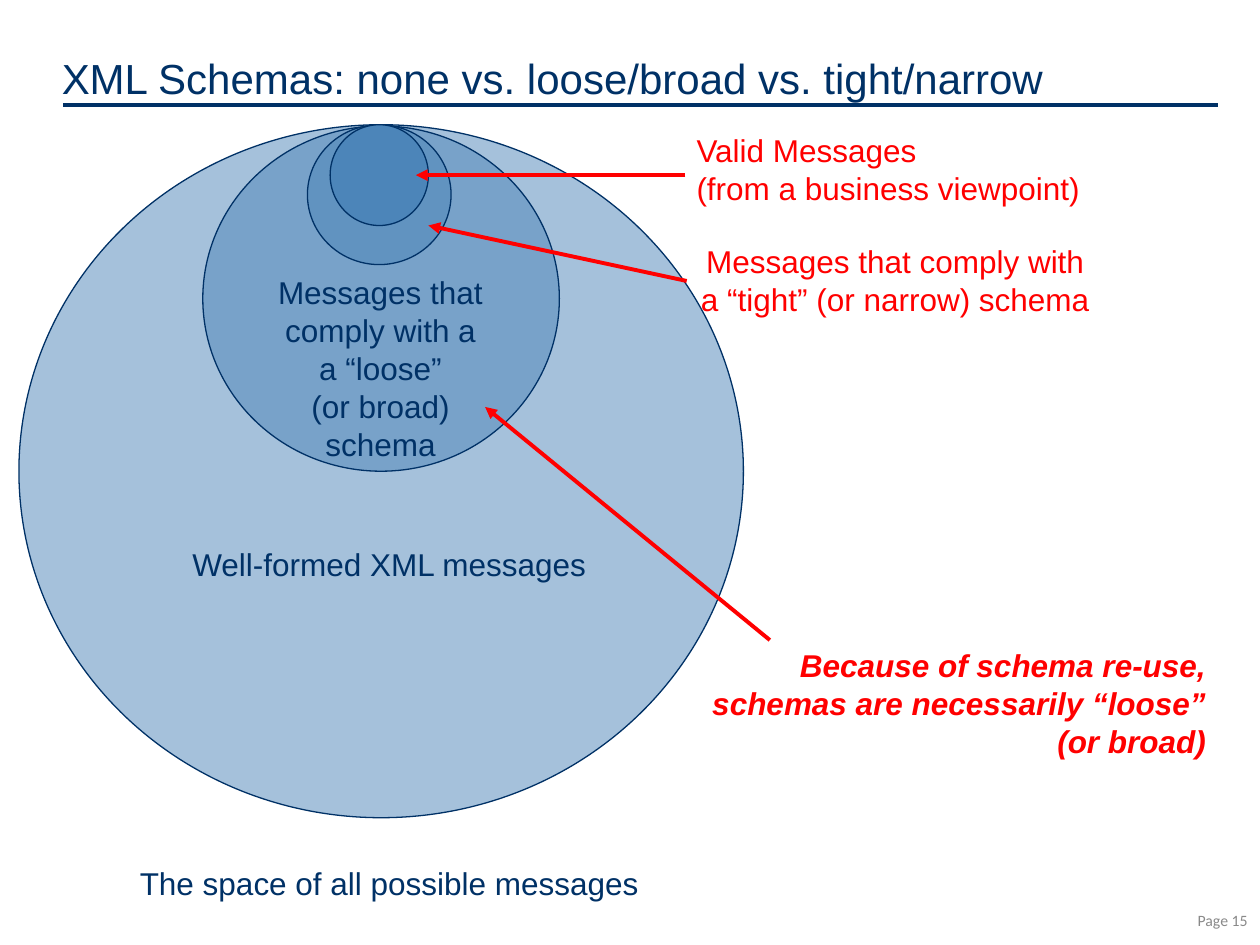
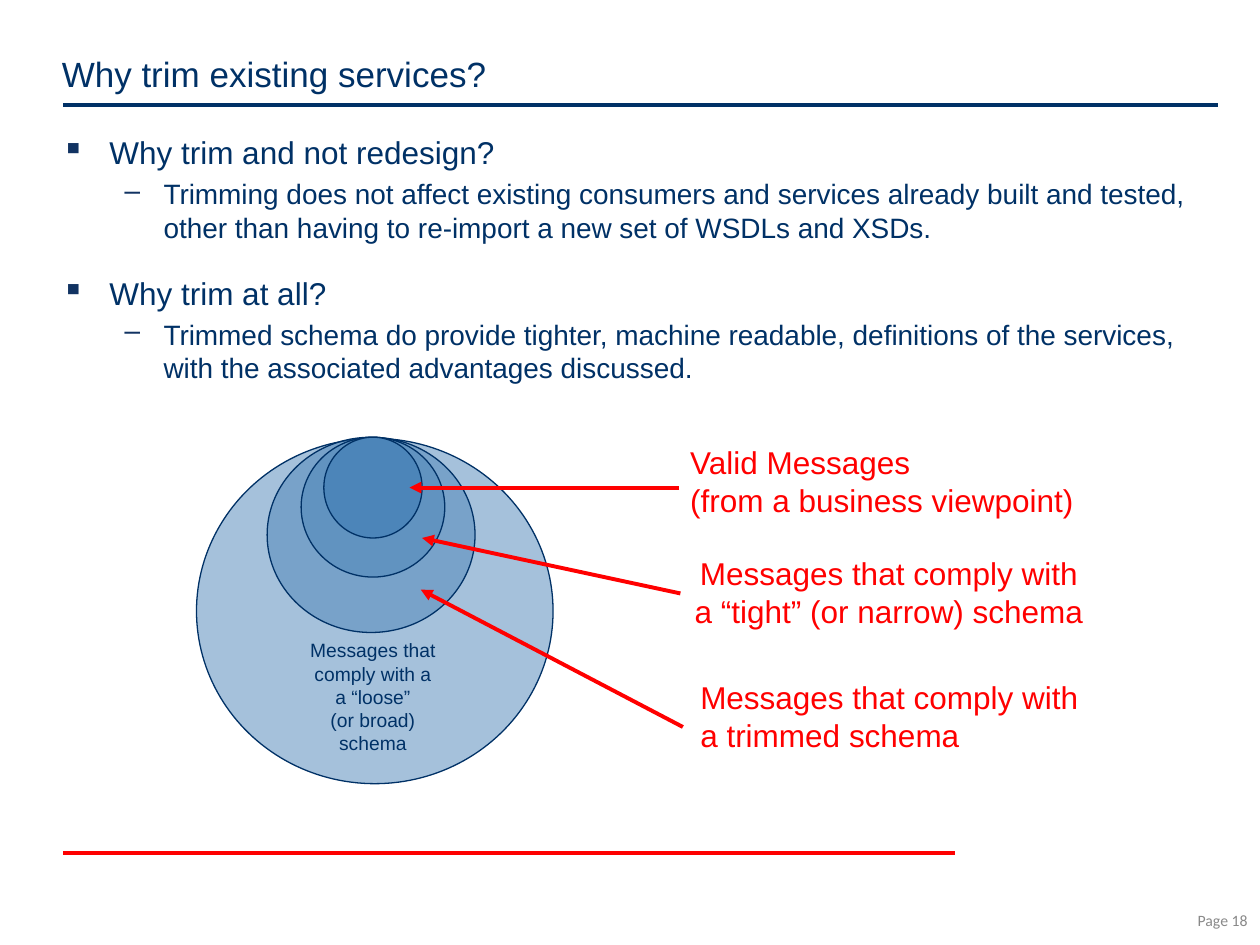
"""Builds two slides on loose, tight and trimmed XML schemas."""
from dataclasses import dataclass, replace

import lxml.etree
import pptx
import pptx.dml.color
import pptx.enum.shapes
import pptx.enum.text
import pptx.oxml.ns
import pptx.util

Inches = pptx.util.Inches
Pt = pptx.util.Pt
Align = pptx.enum.text.PP_ALIGN
Anchor = pptx.enum.text.MSO_ANCHOR
qn = pptx.oxml.ns.qn

NAVY, BLUE, RED, RULE_RED = "003166", "4C85B9", "FF0000", "FE0000"
GREY, BULLET, WHITE = "898989", "113362", "FFFFFF"
LOOSE_LINES = ("Messages that", "comply with a", "a “loose”", "(or broad)", "schema")


@dataclass(frozen=True)
class Circle:
    left: float
    top: float
    width: float
    height: float
    alpha: int = 50


@dataclass(frozen=True)
class Label:
    left: float
    top: float
    width: float
    height: float
    lines: tuple[str, ...]
    color: str = RED
    size: int = 18
    align: Align = Align.CENTER
    strong: bool = False
    wrap: bool = False
    font: str = "Arial"
    anchor: Anchor = Anchor.TOP


@dataclass(frozen=True)
class Line:
    x1: float
    y1: float
    x2: float
    y2: float
    color: str = RED
    arrow: bool = True


@dataclass(frozen=True)
class Bullet:
    text: str
    size: int
    mark: str
    margin: float
    indent: float
    before: float


CORE_CIRCLES = (Circle(2.44, 0.99, 1.14, 1.11), Circle(2.62, 0.99, 0.78, 0.8, 100))
CORE_LABELS = (
    Label(5.45, 1.87, 3.31, 0.71,
          ("Messages that comply with", "a “tight” (or narrow) schema")),
    Label(5.43, 0.99, 3.27, 0.71,
          ("Valid Messages", "(from a business viewpoint)"), align=Align.LEFT),
)
CORE_ARROWS = (Line(5.44, 1.39, 3.3, 1.39), Line(5.45, 2.23, 3.4, 1.79))


def rgb(value: str) -> pptx.dml.color.RGBColor:
    return pptx.dml.color.RGBColor.from_string(value)


def style_font(font, size: int, color: str, name: str = "Arial") -> None:
    font.size, font.name = Pt(size), name
    font.color.rgb = rgb(color)


def add_circle(slide, circle: Circle) -> None:
    box = (circle.left, circle.top, circle.width, circle.height)
    sp = slide.shapes.add_shape(pptx.enum.shapes.MSO_SHAPE.OVAL, *map(Inches, box))
    sp.shadow.inherit = False
    sp.fill.solid()
    sp.fill.fore_color.rgb = rgb(BLUE)
    sp.line.color.rgb = rgb(NAVY)
    sp.line.width = Pt(0.75)
    if circle.alpha < 100:
        color = sp.fill._xPr.find(f"{qn('a:solidFill')}/{qn('a:srgbClr')}")
        lxml.etree.SubElement(color, qn("a:alpha"), val=str(circle.alpha * 1000))


def add_label(slide, label: Label) -> None:
    box = (label.left, label.top, label.width, label.height)
    tf = slide.shapes.add_textbox(*map(Inches, box)).text_frame
    tf.word_wrap = label.wrap
    tf.vertical_anchor = label.anchor
    tf.text = "\n".join(label.lines)
    for p in tf.paragraphs:
        p.alignment = label.align
        style_font(p.font, label.size, label.color, label.font)
        if label.strong:
            p.font.bold = p.font.italic = True


def add_line(slide, line: Line) -> None:
    ends = map(Inches, (line.x1, line.y1, line.x2, line.y2))
    c = slide.shapes.add_connector(pptx.enum.shapes.MSO_CONNECTOR.STRAIGHT, *ends)
    c.line.color.rgb = rgb(line.color)
    c.line.width = Pt(2.25)
    if line.arrow:
        lxml.etree.SubElement(c.line._get_or_add_ln(), qn("a:tailEnd"), type="triangle")
    lxml.etree.SubElement(c._element.spPr, qn("a:effectLst"))


def add_bullets(slide, bullets: tuple[Bullet, ...]) -> None:
    tf = slide.shapes.add_textbox(*map(Inches, (0.39, 1.01, 9.2, 2.09))).text_frame
    tf.word_wrap = True
    tf.text = "\n".join(b.text for b in bullets)
    for p, b in zip(tf.paragraphs, bullets):
        p.space_before = Pt(b.before)
        style_font(p.font, b.size, NAVY)
        pPr = p._p.get_or_add_pPr()
        pPr.set("marL", str(Inches(b.margin)))
        pPr.set("indent", str(Inches(b.indent)))
        color = lxml.etree.Element(qn("a:buClr"))
        lxml.etree.SubElement(color, qn("a:srgbClr"), val=BULLET)
        mark = lxml.etree.Element(qn("a:buChar"), char=b.mark)
        at = pPr.index(pPr.find(qn("a:spcBef"))) + 1
        pPr[at:at] = [color, mark]


def add_titled_slide(prs, title: str, size: int, page: int):
    slide = prs.slides.add_slide(prs.slide_layouts[5])
    slide.background.fill.solid()
    slide.background.fill.fore_color.rgb = rgb(WHITE)
    sp = slide.shapes.title
    sp.left, sp.top, sp.width, sp.height = map(Inches, (0.39, 0.37, 9.2, 0.91))
    tf = sp.text_frame
    tf.text = title
    tf.auto_size = pptx.enum.text.MSO_AUTO_SIZE.NONE
    tf.vertical_anchor = Anchor.TOP
    p = tf.paragraphs[0]
    p.alignment = Align.LEFT
    style_font(p.font, size, NAVY)
    add_line(slide, Line(0.5, 0.83, 9.67, 0.83, NAVY, False))
    add_label(slide, Label(7.75, 7.1, 2.25, 0.4, (f"Page {page}",), GREY, 9, Align.RIGHT,
                           font="Calibri", anchor=Anchor.MIDDLE, wrap=True))
    return slide


def add_core(slide, dx: float = 0, dy: float = 0) -> None:
    for circle in CORE_CIRCLES:
        add_circle(slide, replace(circle, left=circle.left + dx, top=circle.top + dy))
    for label in CORE_LABELS:
        add_label(slide, replace(label, left=label.left + dx, top=label.top + dy))
    for a in CORE_ARROWS:
        add_line(slide, Line(a.x1 + dx, a.y1 + dy, a.x2 + dx, a.y2 + dy))


def build_schemas(prs) -> None:
    slide = add_titled_slide(
        prs, "XML Schemas: none vs. loose/broad vs. tight/narrow", 24, 15)
    add_circle(slide, Circle(0.15, 0.99, 5.75, 5.5))
    add_circle(slide, Circle(1.61, 1, 2.83, 2.74))
    add_core(slide)
    for label in (
        Label(1.41, 4.28, 3.36, 0.4, ("Well-formed XML messages",), NAVY),
        Label(2.1, 2.12, 1.84, 1.62, LOOSE_LINES, NAVY),
        Label(5.24, 5.08, 4.43, 1.01,
              ("Because of schema re-use,", "schemas are necessarily “loose” (or broad)"),
              align=Align.RIGHT, strong=True, wrap=True),
        Label(0.99, 6.81, 4.2, 0.4, ("The space of all possible messages",), NAVY),
    ):
        add_label(slide, label)
    add_line(slide, Line(6.11, 5.08, 3.85, 3.23))


def build_trimming(prs) -> None:
    slide = add_titled_slide(prs, "Why trim existing services?", 20, 18)
    add_line(slide, Line(0.5, 6.77, 7.58, 6.77, RULE_RED, False))
    main, sub = ("▪", 0.38, -0.38), ("–", 0.81, -0.31)
    add_bullets(slide, (
        Bullet("Why trim and not redesign?", 18, *main, 3.6),
        Bullet("Trimming does not affect existing consumers and services already built "
               "and tested, other than having to re-import a new set of WSDLs and XSDs.",
               16, *sub, 3.2),
        Bullet("Why trim at all?", 18, *main, 17),
        Bullet("Trimmed schema do provide tighter, machine readable, definitions of the "
               "services, with the associated advantages discussed.", 16, *sub, 3.2),
    ))
    add_circle(slide, Circle(1.56, 3.48, 2.83, 2.74))
    add_circle(slide, Circle(2.12, 3.47, 1.65, 1.55))
    add_core(slide, -0.05, 2.48)
    add_label(slide, Label(2.36, 5.02, 1.2, 1.03, LOOSE_LINES, NAVY, 11))
    add_label(slide, Label(5.46, 5.33, 3.23, 0.71,
                           ("Messages that comply with", "a trimmed schema"),
                           align=Align.LEFT))
    add_line(slide, Line(5.42, 5.77, 3.34, 4.68))


def main() -> None:
    prs = pptx.Presentation()
    prs.slide_width, prs.slide_height = Inches(10), Inches(7.5)
    build_schemas(prs)
    build_trimming(prs)
    prs.save("out.pptx")


if __name__ == "__main__":
    main()
